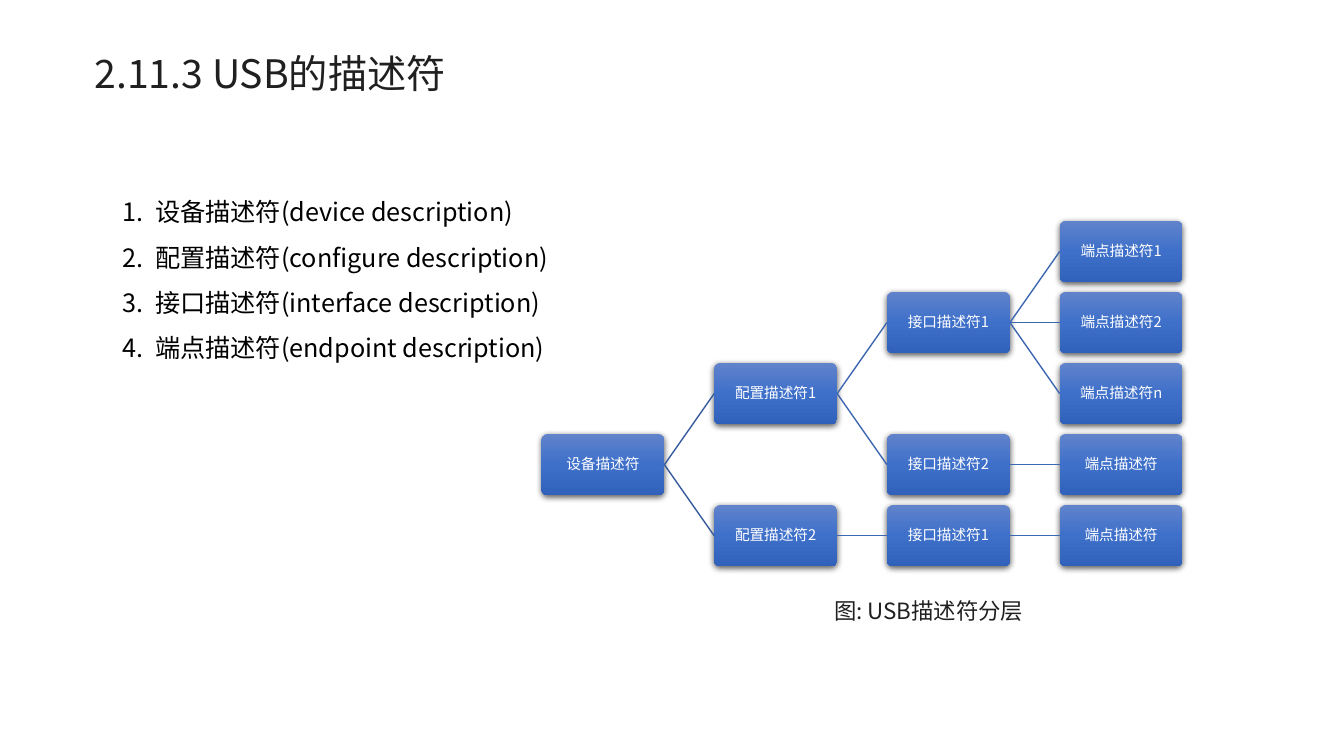
"""Build the slide on USB descriptors with its numbered list and layered tree."""
import dataclasses

import pptx
import pptx.dml.color
import pptx.enum.shapes
import pptx.enum.text
import pptx.oxml
import pptx.oxml.ns
import pptx.util

Inches = pptx.util.Inches
qn = pptx.oxml.ns.qn
Align = pptx.enum.text.PP_ALIGN
Anchor = pptx.enum.text.MSO_ANCHOR


@dataclasses.dataclass(frozen=True)
class Theme:
    font: str = "Noto Sans CJK SC"
    heading: str = "202020"
    body: str = "000000"
    node_text: str = "FFFFFF"
    node_top: str = "6183CB"
    node_middle: str = "3E70CA"
    node_bottom: str = "3062BB"
    shadow: str = "000000"
    root_link: str = "365B9D"
    link: str = "3E67B2"
    title_size: float = 28
    list_size: float = 18
    caption_size: float = 16
    node_size: float = 10.5


theme = Theme()
namespace = 'xmlns:a="http://schemas.openxmlformats.org/drawingml/2006/main"'


def write(shape, text, *, size, color, align=Align.LEFT, anchor=Anchor.TOP,
          spacing=1.0, numbered=False, inset=None):
    """Fill a shape with one paragraph per line of text."""
    frame = shape.text_frame
    frame.word_wrap = True
    frame.vertical_anchor = anchor
    if inset is not None:
        frame.margin_left = frame.margin_right = Inches(inset)
        frame.margin_top = frame.margin_bottom = Inches(inset)
    for index, line in enumerate(text.split("\n")):
        para = frame.paragraphs[0] if index == 0 else frame.add_paragraph()
        para.alignment = align
        para.line_spacing = spacing
        if numbered:
            properties = para._p.get_or_add_pPr()
            properties.set("marL", str(Inches(1.32)))
            properties.set("indent", str(Inches(-0.32)))
            properties.append(pptx.oxml.parse_xml(
                f'<a:buAutoNum {namespace} type="arabicPeriod"/>'))
        span = para.add_run()
        span.text = line
        span.font.size = pptx.util.Pt(size)
        span.font.name = theme.font
        span.font.color.rgb = pptx.dml.color.RGBColor.from_string(color)
        span.font._element.find(qn("a:latin")).addnext(pptx.oxml.parse_xml(
            f'<a:ea {namespace} typeface="{theme.font}"/>'))


deck = pptx.Presentation()
deck.slide_width = Inches(13.33)
deck.slide_height = Inches(7.5)
page = deck.slides.add_slide(deck.slide_layouts[6])

title = page.shapes.add_textbox(Inches(0.84), Inches(0.38), Inches(6.51), Inches(0.75))
write(title, "2.11.3 USB的描述符", size=theme.title_size, color=theme.heading,
      anchor=Anchor.MIDDLE, spacing=0.9)

caption = page.shapes.add_textbox(Inches(7.35), Inches(5.88), Inches(3.72), Inches(0.37))
write(caption, "图: USB描述符分层", size=theme.caption_size, color=theme.heading,
      align=Align.CENTER)

descriptors = page.shapes.add_textbox(Inches(0.12), Inches(1.75), Inches(5.82), Inches(1.92))
write(descriptors,
      "设备描述符(device description)\n"
      "配置描述符(configure description)\n"
      "接口描述符(interface description)\n"
      "端点描述符(endpoint description)",
      size=theme.list_size, color=theme.body, spacing=1.5, numbered=True)

tree_left, tree_top = 5.37, 2.19
column_step = (10.51 - tree_left) / 3
row_step = (5.01 - tree_top) / 4
node_width, node_height = 1.22, 0.61

# label, column, row, index of parent
nodes = [
    ("设备描述符", 0, 3, None),
    ("配置描述符1", 1, 2, 0),
    ("接口描述符1", 2, 1, 1),
    ("端点描述符1", 3, 0, 2),
    ("端点描述符2", 3, 1, 2),
    ("端点描述符n", 3, 2, 2),
    ("接口描述符2", 2, 3, 1),
    ("端点描述符", 3, 3, 6),
    ("配置描述符2", 1, 4, 0),
    ("接口描述符1", 2, 4, 8),
    ("端点描述符", 3, 4, 9),
]

boxes = []
for label, column, row, parent in nodes:
    box = page.shapes.add_shape(
        pptx.enum.shapes.MSO_SHAPE.ROUNDED_RECTANGLE,
        Inches(tree_left + column * column_step), Inches(tree_top + row * row_step),
        Inches(node_width), Inches(node_height))
    box.adjustments[0] = 0.1
    box.line.fill.background()
    box.shadow.inherit = False
    properties = box._element.spPr
    properties.find(qn("a:ln")).addprevious(pptx.oxml.parse_xml(
        f'<a:gradFill {namespace} rotWithShape="1"><a:gsLst>'
        f'<a:gs pos="0"><a:srgbClr val="{theme.node_top}"/></a:gs>'
        f'<a:gs pos="50000"><a:srgbClr val="{theme.node_middle}"/></a:gs>'
        f'<a:gs pos="100000"><a:srgbClr val="{theme.node_bottom}"/></a:gs>'
        '</a:gsLst><a:lin ang="5400000" scaled="0"/></a:gradFill>'))
    properties.find(qn("a:effectLst")).append(pptx.oxml.parse_xml(
        f'<a:outerShdw {namespace} blurRad="57150" dist="19050" dir="5400000"'
        f' algn="ctr" rotWithShape="0"><a:srgbClr val="{theme.shadow}">'
        '<a:alpha val="63000"/></a:srgbClr></a:outerShdw>'))
    write(box, label, size=theme.node_size, color=theme.node_text, align=Align.CENTER,
          anchor=Anchor.MIDDLE, spacing=0.9, inset=0.03)
    boxes.append(box)

    if parent is not None:
        link = page.shapes.add_connector(
            pptx.enum.shapes.MSO_CONNECTOR.STRAIGHT, 0, 0, 0, 0)
        link.begin_connect(boxes[parent], 3)
        link.end_connect(box, 1)
        link.line.width = pptx.util.Pt(1)
        link.line.color.rgb = pptx.dml.color.RGBColor.from_string(
            theme.root_link if parent == 0 else theme.link)
        link._element.spPr.append(pptx.oxml.parse_xml(f"<a:effectLst {namespace}/>"))

deck.save("out.pptx")
